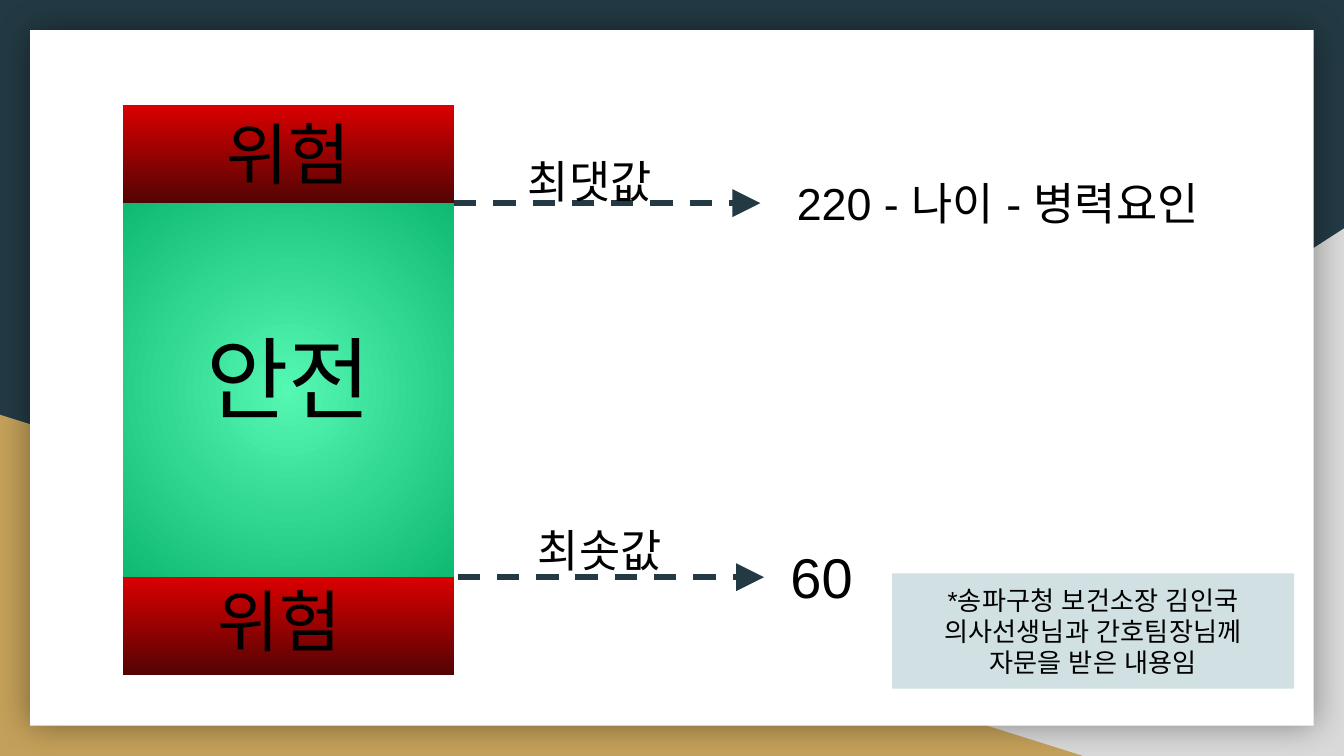
import pptx
import pptx.util
import pptx.dml.color
import pptx.enum.dml
import pptx.enum.shapes
import pptx.enum.text
import pptx.oxml
import pptx.oxml.ns
import lxml.etree

Cm = pptx.util.Cm
SHAPE = pptx.enum.shapes.MSO_SHAPE
ALIGN = pptx.enum.text.PP_ALIGN
ANCHOR = pptx.enum.text.MSO_ANCHOR
qn = pptx.oxml.ns.qn
NAVY = "233A44"
RED, DARK_RED = "DB0000", "540303"
MINT, GREEN = "54F8B3", "10B972"


def rgb(value):
    return pptx.dml.color.RGBColor.from_string(value)


def lengths(box):
    return [Cm(v) for v in box]


def add_block(s, kind, box, color=None):
    sp = s.shapes.add_shape(kind, *lengths(box))
    sp.shadow.inherit = False
    sp.line.fill.background()
    if color:
        sp.fill.solid()
        sp.fill.fore_color.rgb = rgb(color)
    return sp


def write(sp, text, size, align=ALIGN.CENTER, anchor=ANCHOR.TOP, side=0.25):
    tf = sp.text_frame
    tf.word_wrap = True
    tf.vertical_anchor = anchor
    tf.margin_left = tf.margin_right = Cm(side)
    tf.margin_top = tf.margin_bottom = Cm(0.26)
    p = tf.paragraphs[0]
    p.text = text
    p.alignment = align
    p.font.name = "Arial"
    p.font.size = pptx.util.Pt(size)
    p.font.color.rgb = rgb("000000")
    latin = p._p.pPr.find(qn("a:defRPr")).find(qn("a:latin"))
    for tag in ("a:cs", "a:ea"):
        latin.addnext(lxml.etree.Element(qn(tag), typeface="Arial"))


def add_text(s, box, text, size, align=ALIGN.CENTER):
    write(s.shapes.add_textbox(*lengths(box)), text, size, align)


def add_gradient(sp, start, end, radial=False):
    sp.fill.gradient()
    sp.fill.gradient_angle = 270
    for stop, color in zip(sp.fill.gradient_stops, (start, end)):
        stop.color.rgb = rgb(color)
    if radial:
        grad = sp._element.spPr.find(qn("a:gradFill"))
        lin = grad.find(qn("a:lin"))
        circle = lxml.etree.Element(qn("a:path"), path="circle")
        lxml.etree.SubElement(circle, qn("a:fillToRect"),
                              l="50000", t="50000", r="50000", b="50000")
        grad.replace(lin, circle)


def add_backdrop(s, box):
    x, y, w, h = box
    s.background.fill.solid()
    s.background.fill.fore_color.rgb = rgb(NAVY)
    gray = add_block(s, SHAPE.RIGHT_TRIANGLE, (x + w - 15.44, y + h - 9.97, 15.44, 9.97), "D9D9D9")
    gray._element.spPr.find(qn("a:xfrm")).set("flipH", "1")
    add_block(s, SHAPE.RIGHT_TRIANGLE, (x, y + h - 6.45, 20.47, 6.45), "C4A15A")
    margin = 0.57
    panel = add_block(s, SHAPE.RECTANGLE,
                      (x + margin, y + margin, w - 2 * margin, h - 2 * margin), "FFFFFF")
    effects = panel._element.spPr.find(qn("a:effectLst"))
    glow = lxml.etree.SubElement(effects, qn("a:outerShdw"), blurRad="228600",
                                 dist="0", dir="0", algn="ctr", rotWithShape="0")
    color = lxml.etree.SubElement(glow, qn("a:srgbClr"), val="000000")
    lxml.etree.SubElement(color, qn("a:alpha"), val="40000")


def add_gauge(s, box, danger_h):
    x, y, w, h = box
    bottom = y + h - danger_h
    safe = add_block(s, SHAPE.RECTANGLE, (x, y + danger_h, w, h - 2 * danger_h))
    add_gradient(safe, MINT, GREEN, radial=True)
    for top in (y, bottom):
        add_gradient(add_block(s, SHAPE.RECTANGLE, (x, top, w, danger_h)), RED, DARK_RED)
    add_text(s, (x + 0.84, y + 3.87, w - 1.68, 2.84), "안전", 48)
    add_text(s, (x, y - 0.12, w, 2.84), "위험", 36)
    add_text(s, (x, bottom - 0.22, w, 2.84), "위험 ", 36)


def add_limit(s, box, label, value, size, line_y, value_x):
    x, y, w, h = box
    level = y + line_y
    line = s.shapes.add_connector(pptx.enum.shapes.MSO_CONNECTOR.STRAIGHT,
                                  *lengths((x, level, x + 5.79, level)))
    line.line.color.rgb = rgb(NAVY)
    line.line.width = pptx.util.Pt(3)
    line.line.dash_style = pptx.enum.dml.MSO_LINE.DASH
    lxml.etree.SubElement(line.line._get_or_add_ln(), qn("a:tailEnd"),
                          type="triangle", w="lg", len="lg")
    lxml.etree.SubElement(line._element.spPr, qn("a:effectLst"))
    add_text(s, (8.99 - 8.59 + x, y, 4.57, 1.19), label, 24)
    value_y = level - 0.25 - size * 0.022
    add_text(s, (x + value_x, value_y, w - value_x, y + h - value_y), value, size, ALIGN.LEFT)


def add_note(s, box, text):
    sp = add_block(s, SHAPE.RECTANGLE, box, "D0E0E3")
    write(sp, text, 14, anchor=ANCHOR.MIDDLE, side=0.4)


def main():
    prs = pptx.Presentation()
    prs.slide_width, prs.slide_height = Cm(25.4), Cm(14.29)
    s = prs.slides.add_slide(prs.slide_layouts[6])
    add_backdrop(s, (0, 0, 25.4, 14.29))
    add_gauge(s, (2.33, 1.98, 6.25, 10.78), 1.85)
    add_limit(s, (8.58, 2.64, 16.03, 2.01), "최댓값 ", "220 - 나이 - 병력요인", 24, 1.2, 6.23)
    add_limit(s, (8.65, 9.62, 8.81, 1.83), "최솟값", "60", 30, 1.29, 6.04)
    add_note(s, (16.86, 10.84, 7.6, 2.18),
             "*송파구청 보건소장 김인국 의사선생님과 간호팀장님께 자문을 받은 내용임")
    prs.save("out.pptx")


if __name__ == "__main__":
    main()
